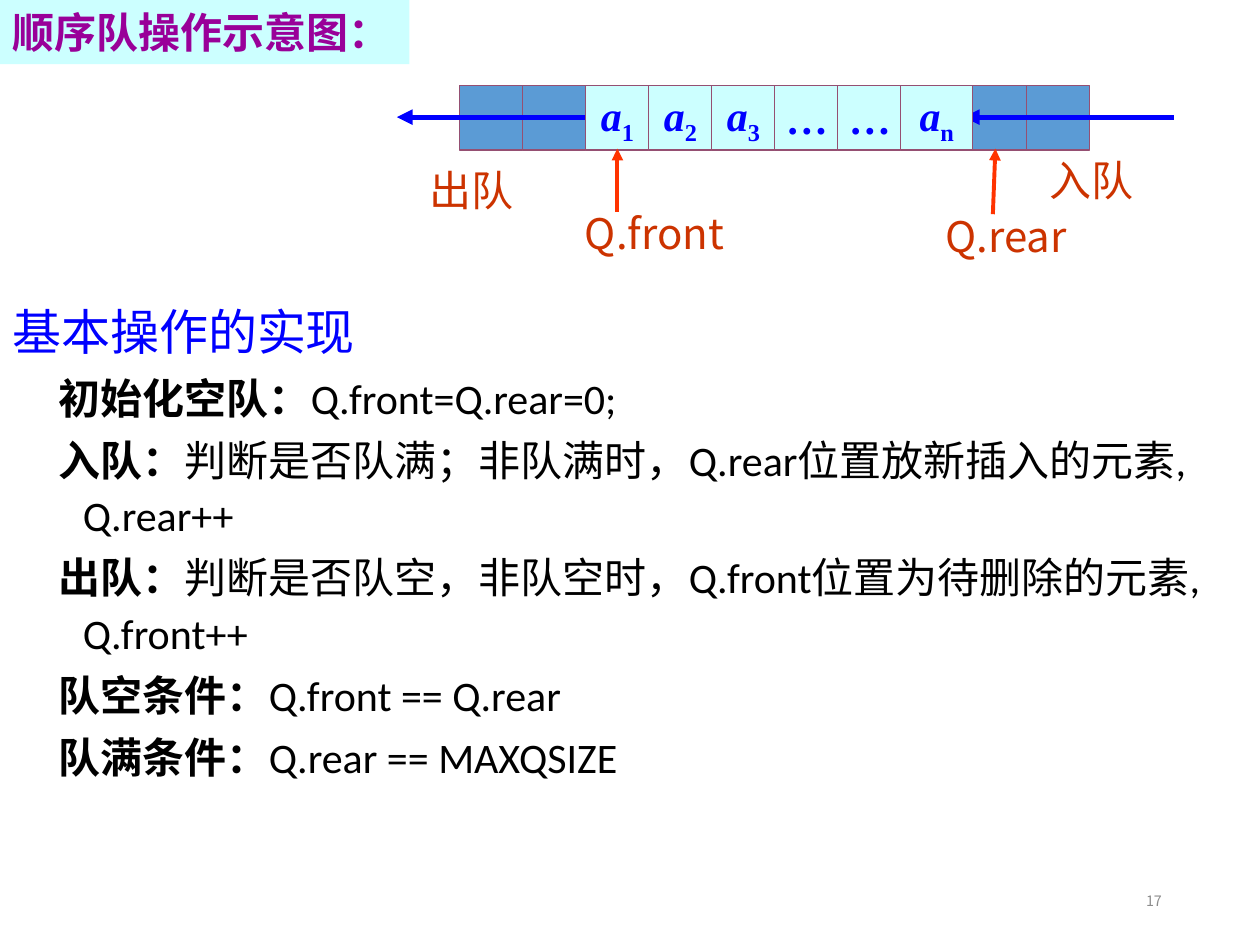
from lxml import etree
from pptx import Presentation
from pptx import util as u
from pptx.dml.color import RGBColor
from pptx.enum import shapes, text
from pptx.oxml import ns

COLORS = {
    "blue": "0000FF", "cell": "CCFFFF", "empty": "5B9BD5", "border": "954F72",
    "label": "CC3300", "pointer": "FF3300", "title": "990099",
    "body": "000000", "number": "8C8C8C",
}
SERIF, SANS = "Times New Roman", "Noto Sans CJK JP"
CENTER = text.PP_ALIGN.CENTER
TOP, MIDDLE = text.MSO_ANCHOR.TOP, text.MSO_ANCHOR.MIDDLE


class QueueSlide:
    def __init__(self, slide):
        self.shapes = slide.shapes

    def color(self, name):
        return RGBColor.from_string(COLORS[name])

    def run(self, paragraph, words, size, face, color, bold=False, italic=False):
        run = paragraph.add_run()
        run.text = words
        font = run.font
        font.size, font.name = u.Pt(size), face
        font.bold, font.italic = bold, italic
        font.color.rgb = self.color(color)
        return run

    def rect(self, left, top, width, height, fill, border=None):
        box = self.shapes.add_shape(
            shapes.MSO_SHAPE.RECTANGLE,
            *(u.Inches(n) for n in (left, top, width, height)))
        box.shadow.inherit = False
        box.fill.solid()
        box.fill.fore_color.rgb = self.color(fill)
        if border:
            box.line.color.rgb = self.color(border)
            box.line.width = u.Pt(0.75)
        else:
            box.line.fill.background()
        return box

    def first_paragraph(self, box, align, anchor, wrap=True):
        frame = box.text_frame
        frame.word_wrap, frame.vertical_anchor = wrap, anchor
        frame.paragraphs[0].alignment = align
        return frame.paragraphs[0]

    def cell(self, left, width, symbol, index=""):
        box = self.rect(left, ROW_TOP, width, ROW_HEIGHT, "cell", "border")
        paragraph = self.first_paragraph(box, CENTER, MIDDLE)
        self.run(paragraph, symbol, 24, SERIF, "blue", True, True)
        if index:
            subscript = self.run(paragraph, index, 24, SERIF, "blue", True)
            subscript.font._element.set("baseline", "-25000")

    def textbox(self, left, top, width, height):
        return self.shapes.add_textbox(
            *(u.Inches(n) for n in (left, top, width, height)))

    def label(self, left, top, width, words, face, size=24, color="label",
              align=CENTER, anchor=TOP):
        box = self.textbox(left, top, width, 0.5)
        paragraph = self.first_paragraph(box, align, anchor, wrap=False)
        self.run(paragraph, words, size, face, color)

    def line(self, start, end, color, width, arrow=None):
        link = self.shapes.add_connector(
            shapes.MSO_CONNECTOR.STRAIGHT,
            *(u.Inches(n) for n in (*start, *end)))
        link.line.color.rgb = self.color(color)
        link.line.width = u.Pt(width)
        if arrow:
            etree.SubElement(link.line._get_or_add_ln(), ns.qn(f"a:{arrow}"),
                             type="triangle")
        etree.SubElement(link._element.spPr, ns.qn("a:effectLst"))

    def indent(self, paragraph, left):
        props = paragraph._p.get_or_add_pPr()
        props.set("marL", str(u.Inches(left)))
        props.set("indent", str(u.Inches(-0.19)))
        paragraph.line_spacing = 1.1

    def operations(self, heading, items):
        box = self.textbox(0, 2.3, 9.88, 4.26)
        paragraph = self.first_paragraph(box, text.PP_ALIGN.LEFT, TOP)
        self.indent(paragraph, 0.19)
        self.run(paragraph, heading, 28, "Arial Narrow", "blue")
        for name, detail in items:
            paragraph = box.text_frame.add_paragraph()
            paragraph.level = 1
            self.indent(paragraph, 0.56)
            paragraph.space_before = u.Pt(3.8)
            self.run(paragraph, name, 24, "Calibri", "body", bold=True)
            self.run(paragraph, detail, 24, "Calibri", "body")


ROW_TOP, ROW_HEIGHT, ROW_MIDDLE = 0.68, 0.51, 0.93
ROW_BOTTOM = ROW_TOP + ROW_HEIGHT
ROW_LEFT, CELL = 3.65, 0.5
ELEMENTS = [("a", "1"), ("a", "2"), ("a", "3"), ("…",), ("…",), ("a", "n")]
OPERATIONS = [
    ("初始化空队：", "Q.front=Q.rear=0;"),
    ("入队：", "判断是否队满；非队满时，Q.rear位置放新插入的元素, Q.rear++"),
    ("出队：", "判断是否队空，非队空时，Q.front位置为待删除的元素, Q.front++"),
    ("队空条件：", "Q.front == Q.rear"),
    ("队满条件：", "Q.rear == MAXQSIZE"),
]


def column(slot):
    return ROW_LEFT + slot * CELL


def main():
    deck = Presentation()
    deck.slide_width, deck.slide_height = u.Inches(10), u.Inches(7.5)
    page = QueueSlide(deck.slides.add_slide(deck.slide_layouts[6]))

    # Basic operations
    page.operations("基本操作的实现", OPERATIONS)

    # Free slots at the rear, with the entering arrow
    for slot in (9, 8):
        page.rect(column(slot), ROW_TOP, CELL, ROW_HEIGHT, "empty", "border")
    page.line((column(8), ROW_MIDDLE), (9.32, ROW_MIDDLE), "blue", 3, "headEnd")

    # Queue elements; the last one is a little wider
    for slot, element in enumerate(ELEMENTS, start=2):
        page.cell(column(slot), 0.57 if element[-1] == "n" else CELL, *element)
    for edge in (ROW_TOP, ROW_BOTTOM):
        page.line((column(8), edge), (8.23, edge), "border", 0.75)

    # Released slots at the front, with the leaving arrow
    for slot in (1, 0):
        page.rect(column(slot), ROW_TOP, CELL, ROW_HEIGHT, "empty", "border")
    page.line((3.15, ROW_MIDDLE), (4.64, ROW_MIDDLE), "blue", 3, "headEnd")

    # Front and rear pointers
    page.line((4.9, 1.68), (4.9, 1.18), "pointer", 2.25, "tailEnd")
    page.line((7.88, 1.7), (7.9, 1.18), "pointer", 2.25, "tailEnd")
    page.label(4.4, 1.6, 1.59, "Q.front", SANS)
    page.label(7.37, 1.62, 1.23, "Q.rear", SANS)
    page.label(8.23, 1.18, 0.87, "入队", SERIF)
    page.label(3.31, 1.26, 0.87, "出队", SERIF)

    # Title and page number
    banner = page.rect(0, 0, 3.25, 0.51, "cell")
    title = page.first_paragraph(banner, text.PP_ALIGN.LEFT, TOP)
    page.run(title, "顺序队操作示意图：", 24, "Montserrat", "title", bold=True)
    page.label(7.07, 6.9, 2.25, "17", SANS, 8.2, "number",
               text.PP_ALIGN.RIGHT, MIDDLE)

    deck.save("out.pptx")


if __name__ == "__main__":
    main()
